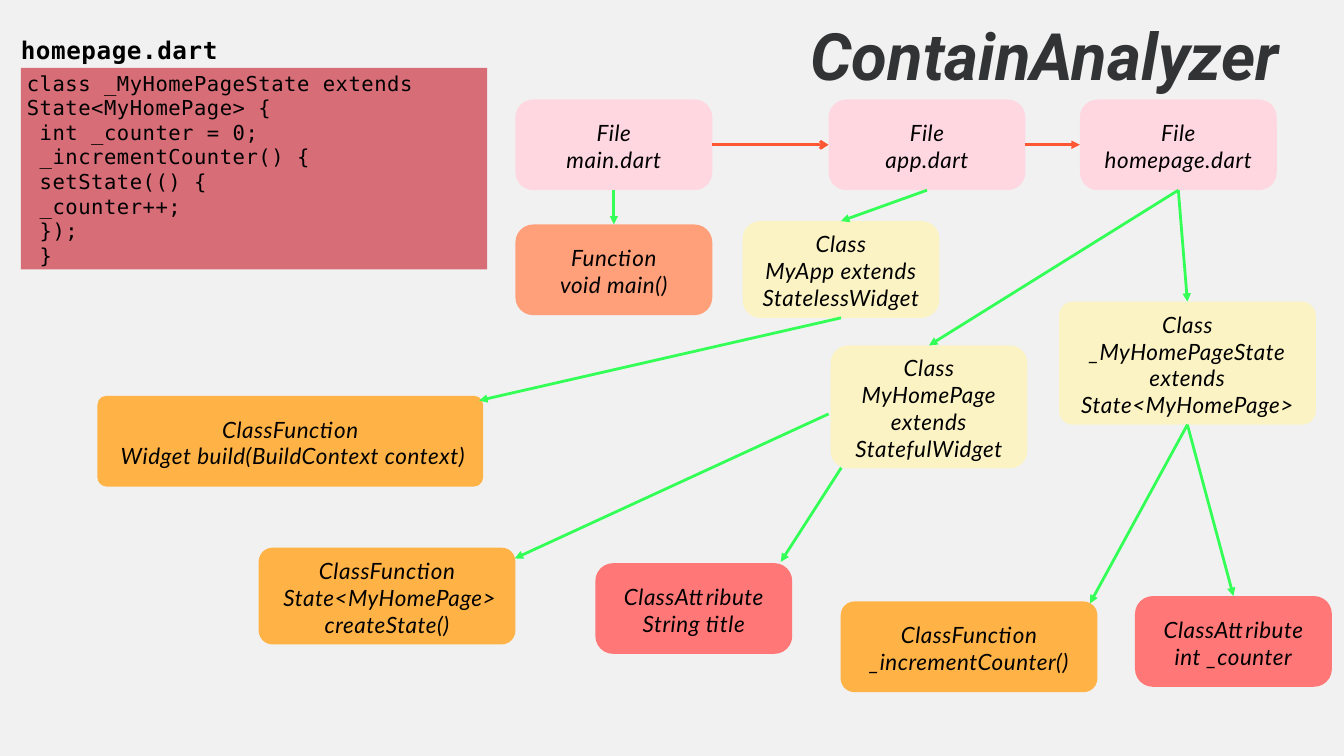
from lxml.etree import SubElement as Sub
from pptx import Presentation
from pptx.dml.color import RGBColor as Rgb
from pptx.enum.shapes import MSO_CONNECTOR as Cxn, MSO_SHAPE as Kind
from pptx.enum.text import MSO_ANCHOR as Anchor, PP_ALIGN as Align
from pptx.oxml.ns import qn
from pptx.util import Inches, Pt


class Theme:
    back, ink, dark = "F1F1F1", "000000", "323334"
    code, file, main = "D76D77", "FFD7E1", "FFA07A"
    kind, func, attr = "FBF3C3", "FFB347", "FF7777"
    uses, owns = "FF5733", "33FF57"
    sans, mono, head = "Lato", "DejaVu Sans Mono", "Roboto"
    card_size, code_size, name_size, head_size = 24, 22, 26, 70
    track, line = 60, 3


deck = Presentation()
deck.slide_width, deck.slide_height = Inches(20), Inches(11.25)
cell = deck.slide_width // 200


def grid(*nums):
    return [round(n * cell) for n in nums]


def write(frame, text, font, size, lead, tint=Theme.ink, pad=(0, 0, 0, 0),
          align=Align.LEFT, anchor=Anchor.TOP, bold=False, slant=False, track=Theme.track):
    frame.text = text
    frame.word_wrap = True
    frame.vertical_anchor = anchor
    (frame.margin_left, frame.margin_top,
     frame.margin_right, frame.margin_bottom) = grid(*pad)
    for para in frame.paragraphs:
        para.alignment = align
        para.line_spacing = Pt(lead)
        for run in para.runs:
            face = run.font
            face.name, face.size = font, Pt(size)
            face.bold, face.italic = bold, slant
            face.color.rgb = Rgb.from_string(tint)
            run._r.get_or_add_rPr().set("spc", str(track))


slide = deck.slides.add_slide(deck.slide_layouts[5])
slide.background.fill.solid()
slide.background.fill.fore_color.rgb = Rgb.from_string(Theme.back)
shapes = slide.shapes

title = shapes.title
title.left, title.top, title.width, title.height = grid(120.6, 4.2, 77.5, 10.2)
write(title.text_frame, "ContainAnalyzer", Theme.head, Theme.head_size, 70,
      Theme.dark, bold=True, slant=True, track=0)

name = shapes.add_textbox(*grid(3.1, 5.3, 30.6, 4.8))
write(name.text_frame, "homepage.dart", Theme.mono, Theme.name_size, 31.2, bold=True)

code = """class _MyHomePageState extends State<MyHomePage> {
 int _counter = 0;
 _incrementCounter() {
 setState(() {
 _counter++;
 });
 }"""
block = shapes.add_shape(Kind.RECTANGLE, *grid(3.1, 10.1, 69.4, 30))
block.shadow.inherit = False
block.fill.solid()
block.fill.fore_color.rgb = Rgb.from_string(Theme.code)
block.line.fill.background()
write(block.text_frame, code, Theme.mono, Theme.code_size, 26.4, pad=(0.9, 0.4, 0, 0))

slim, mid, wide = (29.3, 2.65), (38.2, 2.05), (57.4, 1.35)
two, three, four = 13.5, 14.4, 18.3
plan = {
    "main": (76.7, 14.8, slim, two, Theme.file, "File\nmain.dart"),
    "app": (123.3, 14.8, slim, two, Theme.file, "File\napp.dart"),
    "home": (160.7, 14.8, slim, two, Theme.file, "File\nhomepage.dart"),
    "void": (76.7, 33.4, slim, two, Theme.main, "Function\nvoid main()"),
    "myapp": (110.5, 32.9, slim, three, Theme.kind,
              "Class\nMyApp extends StatelessWidget"),
    "build": (14.5, 58.9, wide, two, Theme.func,
              "ClassFunction\n Widget build(BuildContext context)"),
    "page": (123.6, 51.4, slim, four, Theme.kind,
             "Class\nMyHomePage extends StatefulWidget"),
    "title": (88.6, 83.8, slim, two, Theme.attr, "ClassAttribute\nString title"),
    "state": (157.6, 44.9, mid, four, Theme.kind,
              "Class\n_MyHomePageState extends State<MyHomePage>"),
    "count": (125.1, 89.5, mid, two, Theme.func, "ClassFunction\n_incrementCounter()"),
    "int": (168.9, 88.7, slim, two, Theme.attr, "ClassAttribute\nint _counter"),
    "make": (38.5, 81.5, mid, three, Theme.func,
             "ClassFunction\n State<MyHomePage> createState()"),
}
cards = {}
for key, (left, top, (width, curve), height, tint, text) in plan.items():
    card = shapes.add_shape(Kind.ROUNDED_RECTANGLE, *grid(left, top, width, height))
    card.adjustments[0] = curve / height
    card.shadow.inherit = False
    card.fill.solid()
    card.fill.fore_color.rgb = Rgb.from_string(tint)
    card.line.fill.background()
    write(card.text_frame, text, Theme.sans, Theme.card_size, 28.8,
          pad=(0.6, 1, 0.6, 0.6), align=Align.CENTER, anchor=Anchor.MIDDLE, slant=True)
    cards[key] = card

links = [
    (("main", 3), ("app", 1), Theme.uses, "arrow"),
    (("app", 3), ("home", 1), Theme.uses, "triangle"),
]
links += [(start, end, Theme.owns, "triangle") for start, end in [
    (("main", 2), ("void", 0)),
    (("app", 2), ("myapp", 0)),
    (("myapp", 2), (71.3, 59.6)),
    (("home", 2), ("page", 0)),
    ((125.2, 69.6), (116.2, 83.6)),
    (("home", 2), ("state", 0)),
    (("state", 2), (162.2, 89.8)),
    (("state", 2), ("int", 0)),
    ((123.3, 61.6), (76.6, 83.1)),
]]
for start, end, tint, tip in links:
    link = shapes.add_connector(Cxn.STRAIGHT, 0, 0, 0, 0)
    if start[0] in cards:
        link.begin_connect(cards[start[0]], start[1])
    else:
        link.begin_x, link.begin_y = grid(*start)
    if end[0] in cards:
        link.end_connect(cards[end[0]], end[1])
    else:
        link.end_x, link.end_y = grid(*end)
    link.line.width = Pt(Theme.line)
    link.line.color.rgb = Rgb.from_string(tint)
    props = link._element.spPr
    Sub(props.find(qn("a:ln")), qn("a:tailEnd"), type=tip)
    Sub(props, qn("a:effectLst"))

deck.save("out.pptx")
